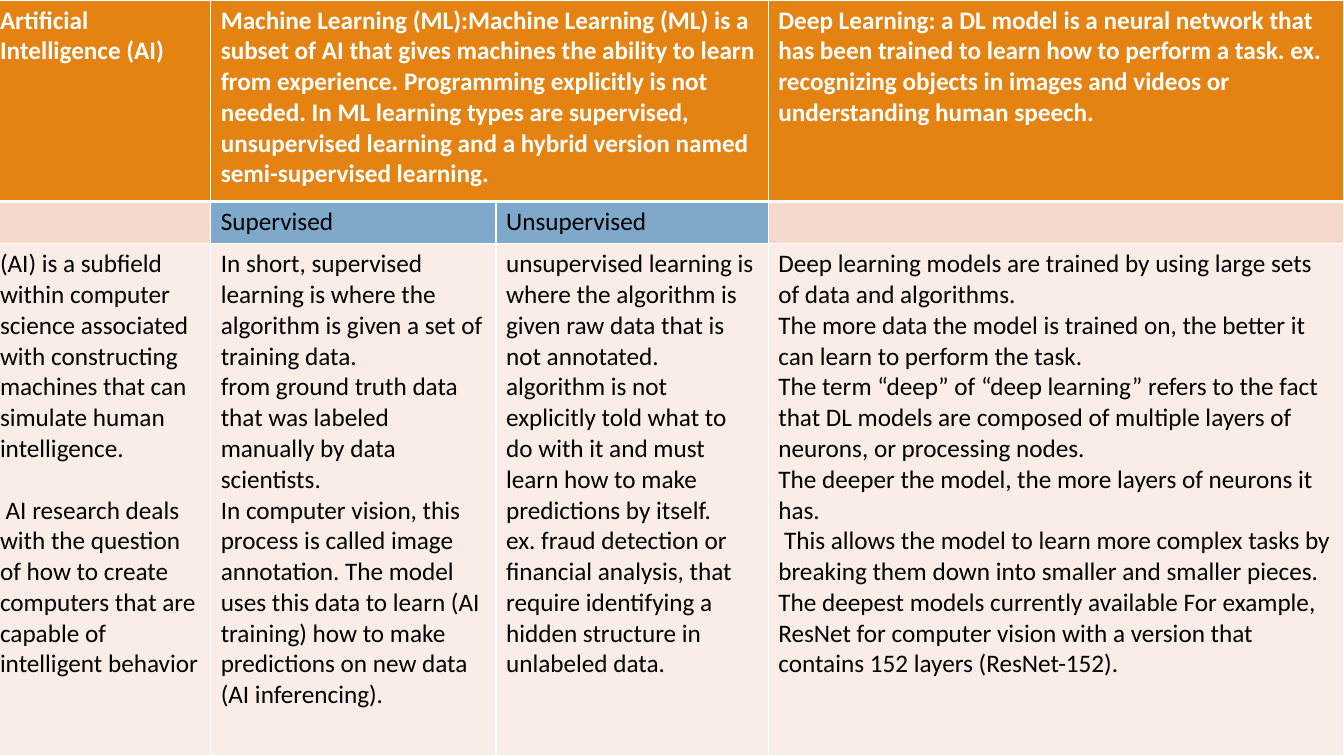
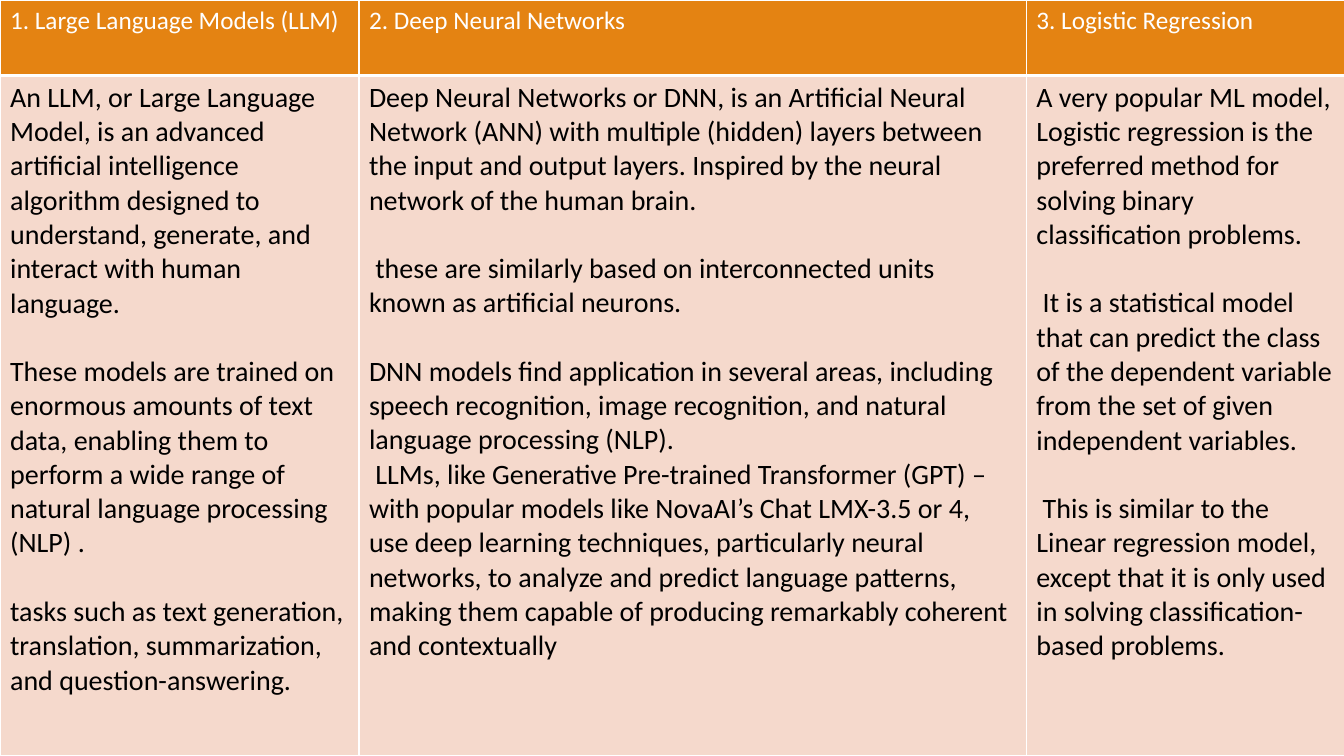
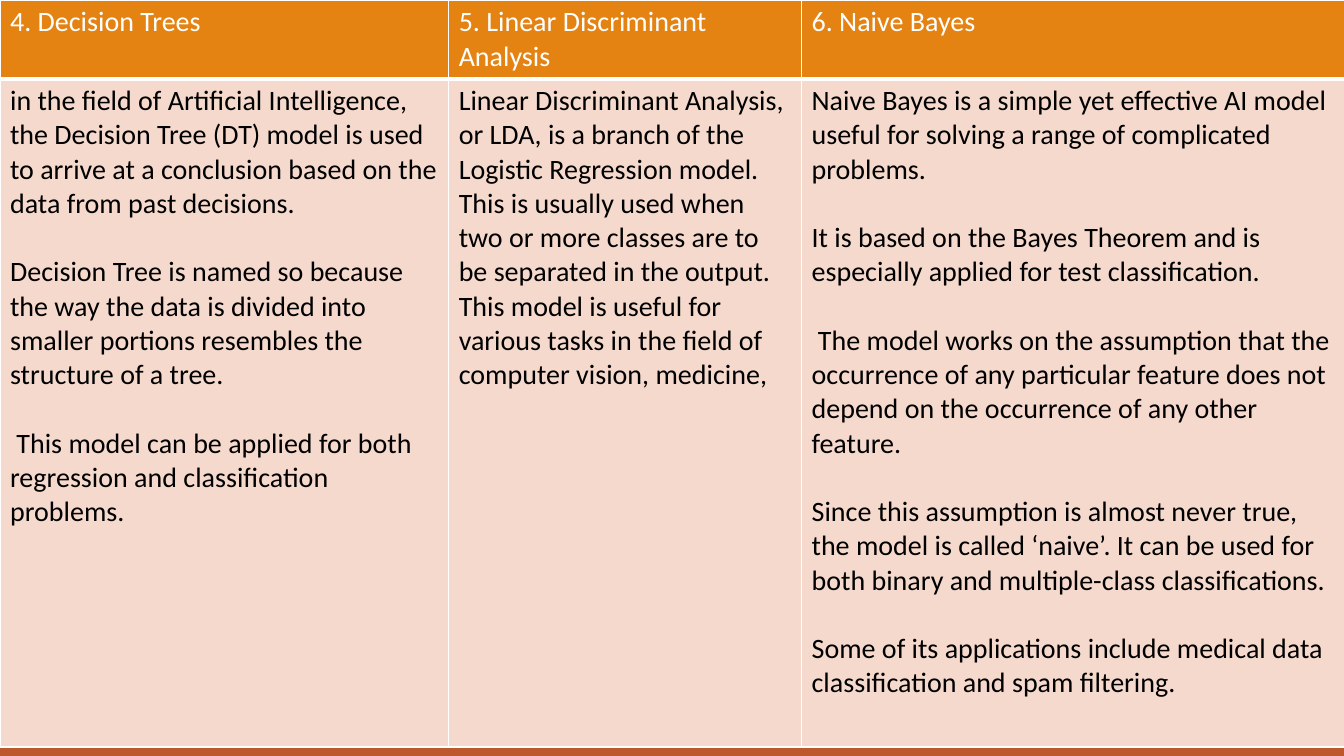
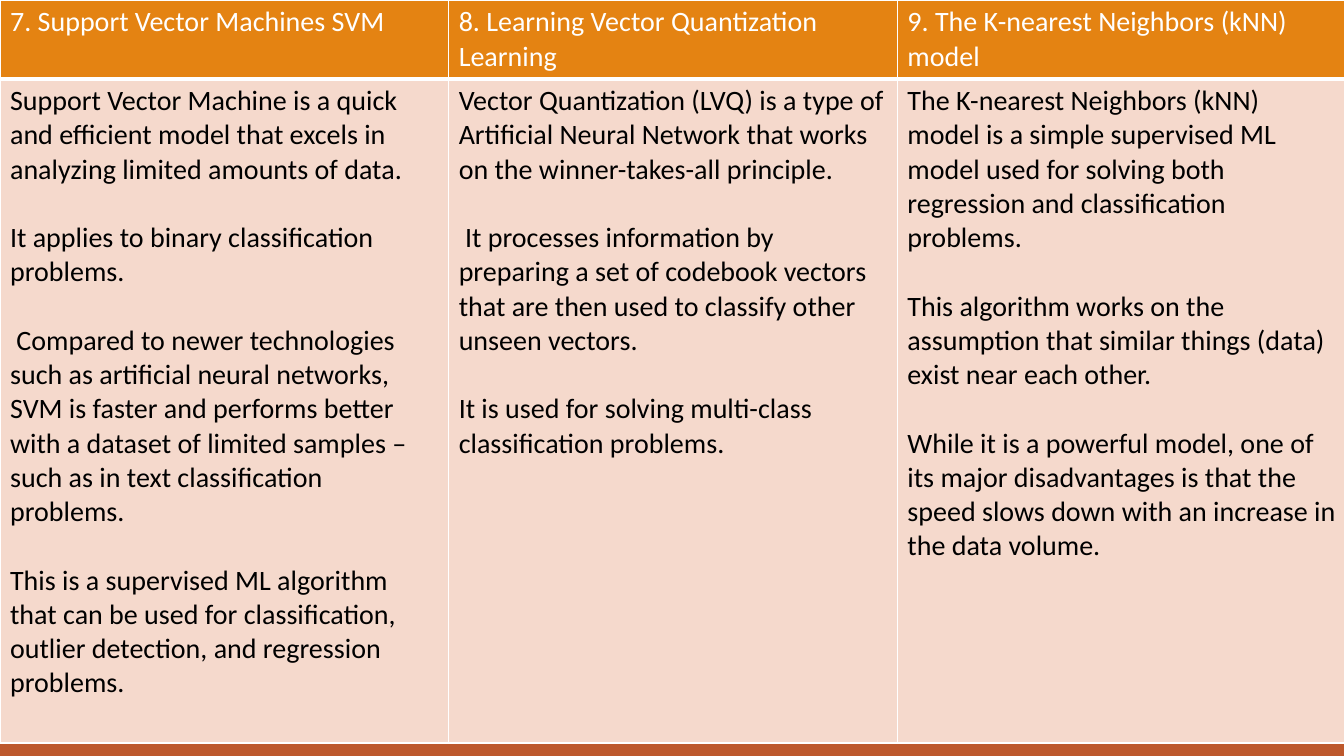
from dataclasses import dataclass

from lxml.etree import SubElement
from pptx import Presentation
from pptx.dml.color import RGBColor
from pptx.enum.shapes import MSO_SHAPE
from pptx.oxml.ns import qn
from pptx.util import Inches, Pt


@dataclass(frozen=True)
class Theme:
    font: str = "Calibri"
    wide: float = 13.33
    high: float = 7.5
    small: int = 18
    large: int = 20
    leading: float = 1.22
    thin: int = 1
    thick: int = 3
    white: str = "FFFFFF"
    black: str = "000000"
    orange: str = "E48312"
    rust: str = "BD582C"
    peach: str = "F5D9CC"
    cream: str = "FAEDE7"
    blue: str = "7EA9CA"


THEME = Theme()

FIELDS = [
    [
        "Artificial Intelligence (AI)",
        "Machine Learning (ML):Machine Learning (ML) is a subset of AI that gives machines the ability to learn from experience. Programming explicitly is not needed. In ML learning types are supervised, unsupervised learning and a hybrid version named semi-supervised learning.",
        "",
        "Deep Learning: a DL model is a neural network that has been trained to learn how to perform a task. ex. recognizing objects in images and videos or understanding human speech.",
    ],
    ["", "Supervised", "Unsupervised", ""],
    [
        """(AI) is a subfield within computer science associated with constructing machines that can simulate human intelligence.

 AI research deals with the question of how to create computers that are capable of intelligent behavior""",
        """In short, supervised learning is where the algorithm is given a set of training data.
from ground truth data that was labeled manually by data scientists.
In computer vision, this process is called image annotation. The model uses this data to learn (AI training) how to make predictions on new data (AI inferencing).""",
        """unsupervised learning is where the algorithm is given raw data that is not annotated.
algorithm is not explicitly told what to do with it and must learn how to make predictions by itself.
ex. fraud detection or financial analysis, that require identifying a hidden structure in unlabeled data.""",
        """Deep learning models are trained by using large sets of data and algorithms.
The more data the model is trained on, the better it can learn to perform the task.
The term “deep” of “deep learning” refers to the fact that DL models are composed of multiple layers of neurons, or processing nodes.
The deeper the model, the more layers of neurons it has.
 This allows the model to learn more complex tasks by breaking them down into smaller and smaller pieces.
The deepest models currently available For example, ResNet for computer vision with a version that contains 152 layers (ResNet-152).""",
    ],
]

NETWORKS = [
    [
        "1. Large Language Models (LLM)",
        "2. Deep Neural Networks",
        "3. Logistic Regression",
    ],
    [
        """An LLM, or Large Language Model, is an advanced artificial intelligence algorithm designed to understand, generate, and interact with human language.

These models are trained on enormous amounts of text data, enabling them to perform a wide range of natural language processing (NLP) .

tasks such as text generation, translation, summarization, and question-answering.""",
        """Deep Neural Networks or DNN, is an Artificial Neural Network (ANN) with multiple (hidden) layers between the input and output layers. Inspired by the neural network of the human brain.

 these are similarly based on interconnected units known as artificial neurons.

DNN models find application in several areas, including speech recognition, image recognition, and natural language processing (NLP).
 LLMs, like Generative Pre-trained Transformer (GPT) – with popular models like NovaAI’s Chat LMX-3.5 or 4, use deep learning techniques, particularly neural networks, to analyze and predict language patterns, making them capable of producing remarkably coherent and contextually""",
        """A very popular ML model, Logistic regression is the preferred method for solving binary classification problems.

 It is a statistical model that can predict the class of the dependent variable from the set of given independent variables.

 This is similar to the Linear regression model, except that it is only used in solving classification-based problems.""",
    ],
]

TREES = [
    ["4. Decision Trees", "5. Linear Discriminant Analysis", "6. Naive Bayes"],
    [
        """in the field of Artificial Intelligence, the Decision Tree (DT) model is used to arrive at a conclusion based on the data from past decisions.

Decision Tree is named so because the way the data is divided into smaller portions resembles the structure of a tree.

 This model can be applied for both regression and classification problems.""",
        "Linear Discriminant Analysis, or LDA, is a branch of the Logistic Regression model. This is usually used when two or more classes are to be separated in the output. This model is useful for various tasks in the field of computer vision, medicine,",
        """Naive Bayes is a simple yet effective AI model useful for solving a range of complicated problems.

It is based on the Bayes Theorem and is especially applied for test classification.

 The model works on the assumption that the occurrence of any particular feature does not depend on the occurrence of any other feature.

Since this assumption is almost never true, the model is called ‘naive’. It can be used for both binary and multiple-class classifications.

Some of its applications include medical data classification and spam filtering.""",
    ],
]

VECTORS = [
    [
        "7. Support Vector Machines SVM",
        "8. Learning Vector Quantization Learning",
        "9. The K-nearest Neighbors (kNN) model",
    ],
    [
        """Support Vector Machine is a quick and efficient model that excels in analyzing limited amounts of data.

It applies to binary classification problems.

 Compared to newer technologies such as artificial neural networks, SVM is faster and performs better with a dataset of limited samples – such as in text classification problems.

This is a supervised ML algorithm that can be used for classification, outlier detection, and regression problems.""",
        """Vector Quantization (LVQ) is a type of Artificial Neural Network that works on the winner-takes-all principle.

 It processes information by preparing a set of codebook vectors that are then used to classify other unseen vectors.

It is used for solving multi-class classification problems.""",
        """The K-nearest Neighbors (kNN) model is a simple supervised ML model used for solving both regression and classification problems.

This algorithm works on the assumption that similar things (data) exist near each other.

While it is a powerful model, one of its major disadvantages is that the speed slows down with an increase in the data volume.""",
    ],
]


def add_slide(deck):
    return deck.slides.add_slide(deck.slide_layouts[6])


def add_band(deck, slide, top, high, color):
    band = slide.shapes.add_shape(
        MSO_SHAPE.RECTANGLE, 0, Inches(top), deck.slide_width, Inches(high)
    )
    band.shadow.inherit = False
    band.fill.solid()
    band.fill.fore_color.rgb = RGBColor.from_string(color)
    band.line.fill.background()
    deck.slide_master.shapes.element.append(band.element)


def paint(cell, color):
    cell.fill.solid()
    cell.fill.fore_color.rgb = RGBColor.from_string(color)


def rule(cell, row):
    props = cell._tc.get_or_add_tcPr()
    sides = {
        "L": THEME.thin,
        "R": THEME.thin,
        "T": THEME.thick if row == 1 else THEME.thin,
        "B": THEME.thick if row == 0 else THEME.thin,
    }
    for side, width in sides.items():
        line = SubElement(props, qn(f"a:ln{side}"), w=str(Pt(width)))
        fill = SubElement(line, qn("a:solidFill"))
        SubElement(fill, qn("a:srgbClr"), val=THEME.white)


def write(cell, text, size, color, bold):
    lines = text.split("\n")
    cell.text_frame.text = "\n".join(line for line in lines if line)
    gaps = [not last for last, line in zip(["start"] + lines, lines) if line]
    for para, gap in zip(cell.text_frame.paragraphs, gaps):
        if gap:
            para.space_before = Pt(size * THEME.leading)
        for run in para.runs:
            run.font.name = THEME.font
            run.font.size = Pt(size)
            run.font.bold = bold
            run.font.color.rgb = RGBColor.from_string(color)
    if not text:
        cell.text_frame.paragraphs[0].font.size = Pt(size)


def add_grid(slide, texts, cols, rows, sizes, left=0, bold=False, fills=(THEME.peach,)):
    frame = slide.shapes.add_table(
        len(rows), len(cols), Inches(left), 0, Inches(sum(cols)), Inches(sum(rows))
    )
    grid = frame.table
    grid.horz_banding = False
    for col, width in zip(grid.columns, cols):
        col.width = Inches(width)
    for row, high in zip(grid.rows, rows):
        row.height = Inches(high)
    for r, line in enumerate(texts):
        head = r == 0
        for c, text in enumerate(line):
            cell = grid.cell(r, c)
            rule(cell, r)
            paint(cell, THEME.orange if head else fills[r - 1])
            write(
                cell,
                text,
                sizes[0] if head else sizes[1],
                THEME.white if head else THEME.black,
                bold and head,
            )
    return grid


def main():
    deck = Presentation()
    deck.slide_width = Inches(THEME.wide)
    deck.slide_height = Inches(THEME.high)

    slide = add_slide(deck)
    add_band(deck, slide, 7, 0.5, THEME.rust)
    add_band(deck, slide, 6.93, 0.07, THEME.orange)
    grid = add_grid(
        slide,
        FIELDS,
        [2.19, 2.83, 2.7, 5.71],
        [2, 0.42, 5.08],
        (THEME.small, THEME.small),
        left=-0.1,
        bold=True,
        fills=(THEME.peach, THEME.cream),
    )
    grid.cell(0, 1).merge(grid.cell(0, 2))
    for c in (1, 2):
        paint(grid.cell(1, c), THEME.blue)

    models = [
        (NETWORKS, [3.56, 6.62, 3.19], [0.75, 6.75], THEME.small),
        (TREES, [4.45, 3.5, 5.41], [0.78, 6.63], THEME.large),
        (VECTORS, [4.45] * 3, [0.78, 6.59], THEME.large),
    ]
    for texts, cols, rows, size in models:
        add_grid(add_slide(deck), texts, cols, rows, (size, THEME.large))

    deck.save("out.pptx")


if __name__ == "__main__":
    main()
